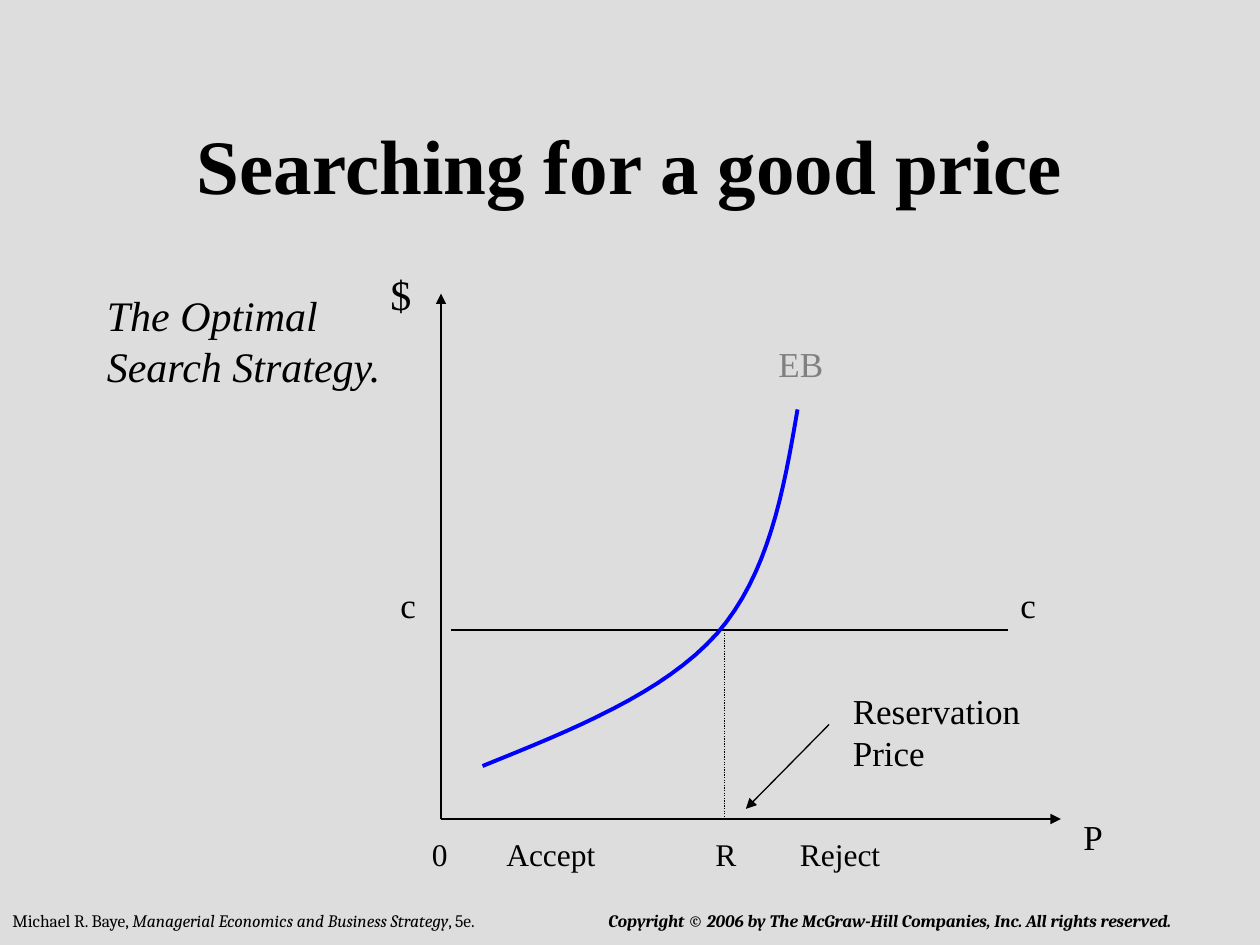
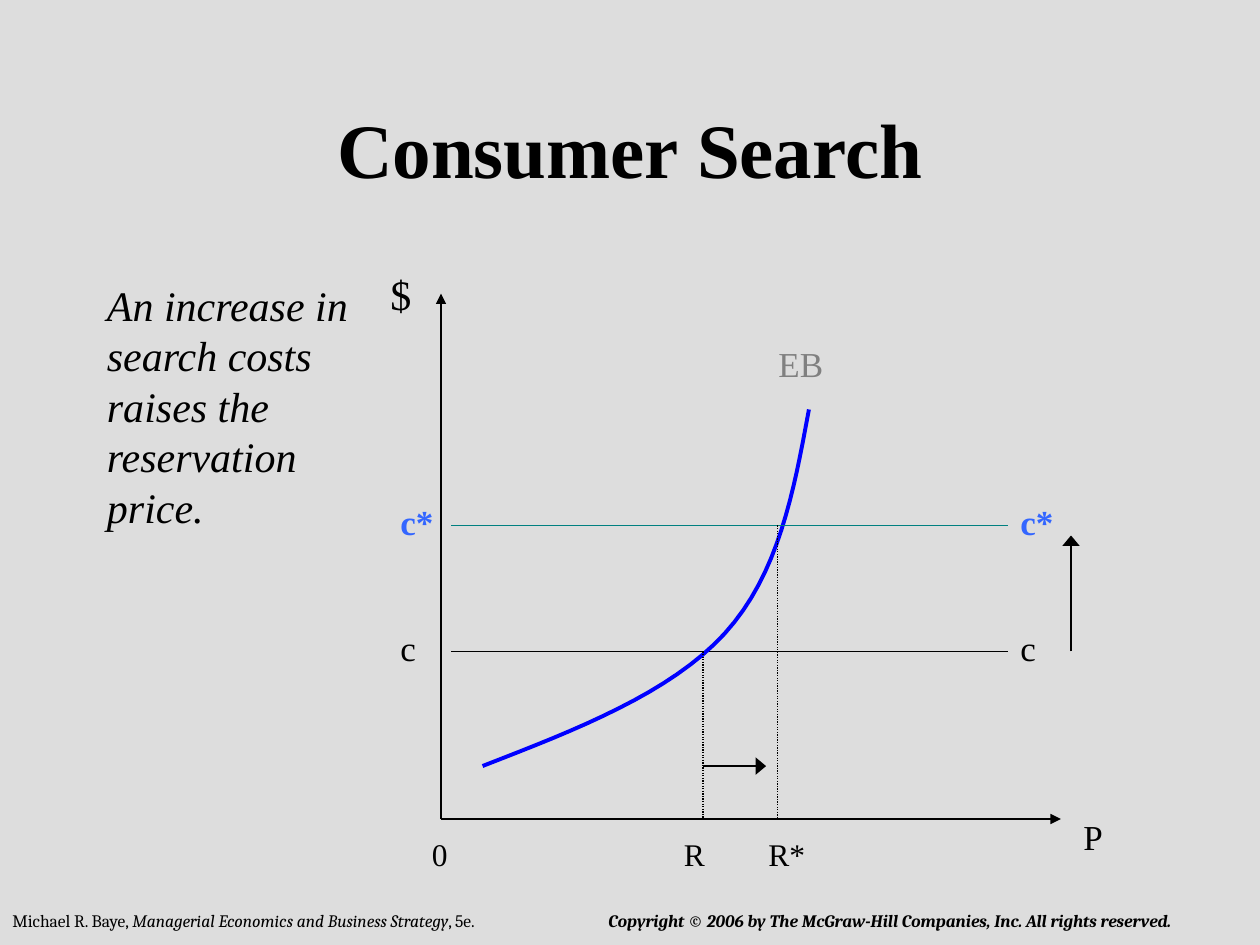
from dataclasses import dataclass

from lxml import etree
from pptx import Presentation
from pptx import util as u
from pptx.dml.color import RGBColor
from pptx.enum import dml, shapes, text
from pptx.oxml import ns

Inches = u.Inches


@dataclass(frozen=True)
class Theme:
    background: str = "DDDDDD"
    ink: str = "000000"
    muted: str = "808080"
    curve: str = "0000FF"
    new_cost: str = "3366FF"
    new_cost_line: str = "008080"
    font: str = "Times New Roman"
    footer_font: str = "Cambria"
    title_size: float = 44
    body_size: float = 24
    label_size: float = 20
    tick_size: float = 18
    footer_size: float = 10
    thin: float = 0.75
    thick: float = 2.25


THEME = Theme()
ORIGIN_X, AXIS_Y = 3.5, 6.5
COST_LEFT, COST_RIGHT = 3.58, 8
TICK_TOP = 6.58
CURVE_STEPS = 16


def bezier(points):
    """Sample a cubic curve given by four points, leaving out its start."""
    for step in range(1, CURVE_STEPS + 1):
        t = step / CURVE_STEPS
        weights = ((1 - t) ** 3, 3 * t * (1 - t) ** 2, 3 * t * t * (1 - t), t ** 3)
        yield tuple(Inches(sum(w * p[axis] for w, p in zip(weights, points)))
                    for axis in (0, 1))


class Deck:
    def __init__(self, theme):
        self.theme = theme
        self.presentation = Presentation()
        self.presentation.slide_width = Inches(10)
        self.presentation.slide_height = Inches(7.5)
        fill = self.presentation.slide_master.background.fill
        fill.solid()
        fill.fore_color.rgb = RGBColor.from_string(theme.background)
        self.slide = None

    def add_slide(self, title, title_height):
        layout = self.presentation.slide_layouts[6]
        self.slide = self.presentation.slides.add_slide(layout)
        self.footer()
        frame = self.text(title, 0.75, 0.67, 8.5, title_height,
                          self.theme.title_size, grow=False, bold=True)
        frame.vertical_anchor = text.MSO_ANCHOR.MIDDLE
        frame.paragraphs[0].alignment = text.PP_ALIGN.CENTER

    def frame(self, left, top, width, height):
        box = self.slide.shapes.add_textbox(*map(Inches, (left, top, width, height)))
        box.text_frame.word_wrap = True
        return box.text_frame

    def run(self, paragraph, words, size, color=None, **format_values):
        run = paragraph.add_run()
        run.text = words
        values = {"name": self.theme.font, "size": u.Pt(size), **format_values}
        for name, value in values.items():
            setattr(run.font, name, value)
        run.font.color.rgb = RGBColor.from_string(color or self.theme.ink)

    def text(self, words, left, top, width, height, size, color=None,
             grow=True, **format_values):
        frame = self.frame(left, top, width, height)
        if grow:
            frame.auto_size = text.MSO_AUTO_SIZE.SHAPE_TO_FIT_TEXT
        self.run(frame.paragraphs[0], words, size, color, **format_values)
        return frame

    def body(self, words, top, width, height):
        self.text(words, 0.75, top, width, height, self.theme.body_size, italic=True)

    def label(self, words, left, top, width=0.42, height=0.44, **format_values):
        self.text(words, left, top, width, height, self.theme.label_size, **format_values)

    def tick(self, words, left, width=0.5):
        self.text(words, left, TICK_TOP, width, 0.4, self.theme.tick_size)

    def footer(self):
        paragraph = self.frame(0, 7.17, 9.92, 0.5).paragraphs[0]
        tabs = etree.SubElement(paragraph._p.get_or_add_pPr(), ns.qn("a:tabLst"))
        etree.SubElement(tabs, ns.qn("a:tab"), pos=str(Inches(4.73)), algn="l")
        parts = (
            ("Michael R. Baye, ", {}),
            ("Managerial Economics and Business Strategy", {"italic": True}),
            (", 5e.\t", {}),
            ("Copyright © 2006 by The McGraw-Hill Companies, Inc. All rights reserved.",
             {"bold": True, "italic": True}),
        )
        for words, format_values in parts:
            self.run(paragraph, words, self.theme.footer_size,
                     name=self.theme.footer_font, **format_values)

    def line(self, start, end, color=None, dotted=False, arrow=None):
        """Draw a line; arrow is the width of its end head (med or lg)."""
        connector = self.slide.shapes.add_connector(
            shapes.MSO_CONNECTOR.STRAIGHT, *map(Inches, (*start, *end)))
        connector.line.width = u.Pt(self.theme.thin)
        connector.line.color.rgb = RGBColor.from_string(color or self.theme.ink)
        if dotted:
            connector.line.dash_style = dml.MSO_LINE.ROUND_DOT
        if arrow:
            etree.SubElement(connector.line._get_or_add_ln(), ns.qn("a:tailEnd"),
                             type="triangle", w=arrow, len="med")
        etree.SubElement(connector._element.spPr, ns.qn("a:effectLst"))

    def axes(self):
        origin = (ORIGIN_X, AXIS_Y)
        for end in ((ORIGIN_X, 2.33), (8.42, AXIS_Y)):
            self.line(origin, end, arrow="med")
        self.text("$", 3, 2.08, 0.42, 0.5, self.theme.body_size)
        self.label("P", 8.5, 6.42, 0.5)
        self.tick("0", 3.33, 0.42)

    def cost(self, name, y, label_top, width=0.42, line_color=None, **format_values):
        """Draw a horizontal cost line with its name at both ends."""
        self.line((COST_LEFT, y), (COST_RIGHT, y), line_color)
        for left in (3.08, COST_RIGHT):
            self.label(name, left, label_top, width, **format_values)

    def reservation(self, name, x, cost_y, label_left):
        self.line((x, cost_y), (x, AXIS_Y), dotted=True)
        self.tick(name, label_left)

    def benefit_curve(self, points):
        """Draw the EB curve through two joined cubic segments."""
        builder = self.slide.shapes.build_freeform(*map(Inches, points[0]))
        vertices = [*bezier(points[:4]), *bezier(points[3:])]
        builder.add_line_segments(vertices, close=False)
        curve = builder.convert_to_shape()
        curve.shadow.inherit = False
        curve.fill.background()
        curve.line.color.rgb = RGBColor.from_string(self.theme.curve)
        curve.line.width = u.Pt(self.theme.thick)
        self.label("EB", 6.08, 2.67, 0.75, color=self.theme.muted)


def good_price_slide(deck):
    deck.add_slide("Searching for a good price", 1.25)
    deck.axes()
    deck.body("The Optimal Search Strategy.", 2.25, 2.67, 0.9)
    deck.cost("c", 5, 4.58)
    deck.benefit_curve([(3.83, 6.08), (4.55, 5.79), (5.27, 5.5), (5.69, 5.03),
                        (6.1, 4.56), (6.22, 3.9), (6.33, 3.25)])
    deck.reservation("R", 5.75, 5, 5.58)
    deck.line((6.58, 5.75), (5.92, 6.42), arrow="med")
    deck.label("Reservation Price", 6.67, 5.42, 1.58, 0.77)
    deck.tick("Accept", 3.92, 1.58)
    deck.tick("Reject", 6.25, 1.75)


def consumer_search_slide(deck):
    cost, new_cost = 5.17, 4.17
    deck.add_slide("Consumer Search", 1)
    deck.axes()
    deck.body("An increase in search costs raises the reservation price.", 2.17, 2.25, 2.1)
    deck.cost("c", cost, 4.92)
    deck.benefit_curve([(3.83, 6.08), (4.58, 5.79), (5.32, 5.5), (5.75, 5.03),
                        (6.18, 4.56), (6.3, 3.9), (6.42, 3.25)])
    deck.reservation("R", 5.58, cost, 5.33)
    deck.cost("c*", new_cost, 3.92, 0.58, deck.theme.new_cost_line,
              color=deck.theme.new_cost, bold=True)
    deck.reservation("R*", 6.17, new_cost, 6)
    deck.line((5.58, 6.08), (6.08, 6.08), arrow="lg")
    deck.line((8.5, cost), (8.5, 4.25), arrow="lg")


def main():
    deck = Deck(THEME)
    good_price_slide(deck)
    consumer_search_slide(deck)
    deck.presentation.save("out.pptx")


if __name__ == "__main__":
    main()
